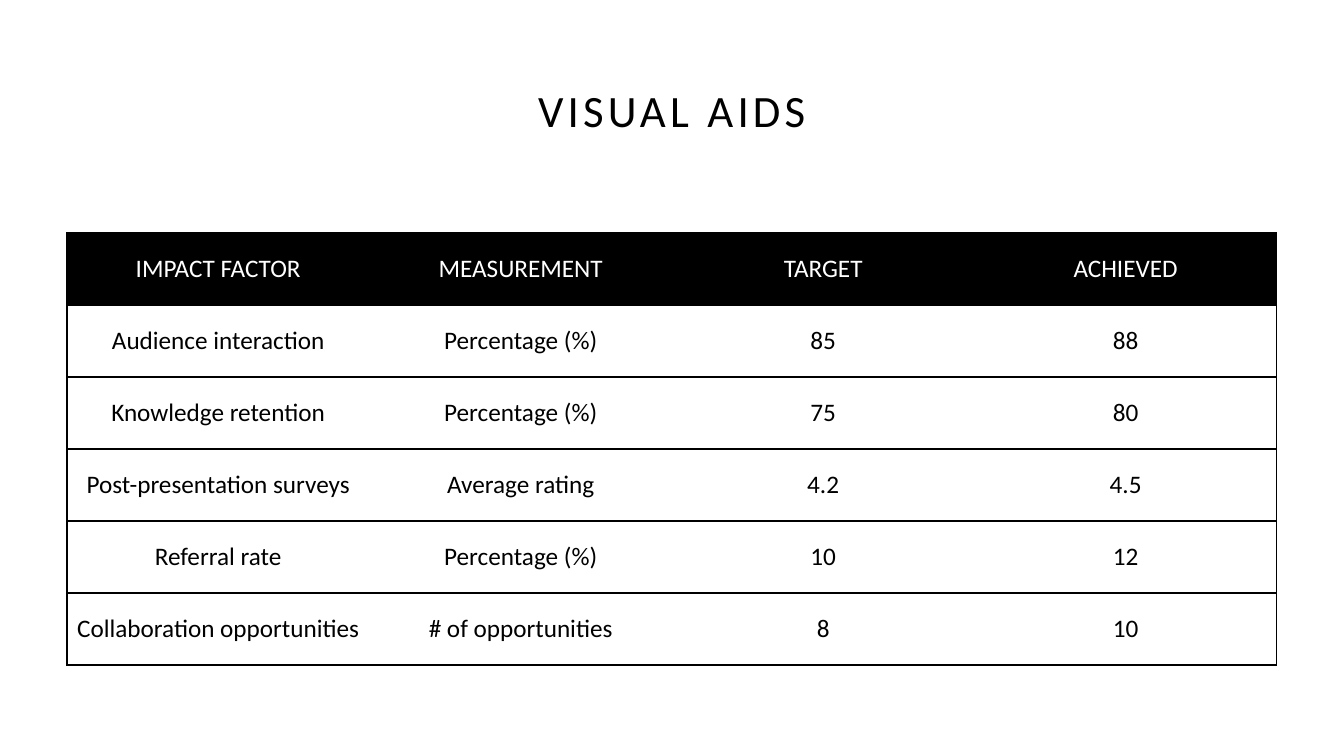
"""Build the Visual Aids slide: a centred title above an impact table."""
import pptx
import pptx.dml.color
import pptx.enum.text
import pptx.oxml
import pptx.oxml.ns
import pptx.util

TITLE = "VISUAL AIDS"
ROWS = [
    ("IMPACT FACTOR", "MEASUREMENT", "TARGET", "ACHIEVED"),
    ("Audience interaction", "Percentage (%)", "85", "88"),
    ("Knowledge retention", "Percentage (%)", "75", "80"),
    ("Post-presentation surveys", "Average rating", "4.2", "4.5"),
    ("Referral rate", "Percentage (%)", "10", "12"),
    ("Collaboration opportunities", "# of opportunities", "8", "10"),
]

BLACK = pptx.dml.color.RGBColor(0x00, 0x00, 0x00)
WHITE = pptx.dml.color.RGBColor(0xFF, 0xFF, 0xFF)
FONT = "Calibri"
MIDDLE = pptx.enum.text.MSO_ANCHOR.MIDDLE
CENTER = pptx.enum.text.PP_ALIGN.CENTER

PX_PER_INCH = 100.8
SLIDE_SIZE = (1344, 756)
TITLE_BOX = (92, 40, 1160, 146)
TABLE_BOX = (67, 233, 1210, 432)


def px(length):
    return pptx.util.Emu(round(length * pptx.util.Inches(1) / PX_PER_INCH))


def write(para, text, size, color):
    para.alignment = CENTER
    span = para.add_run()
    span.text = text
    formats = {"name": FONT, "size": pptx.util.Pt(size), "bold": False}
    for name, value in formats.items():
        setattr(span.font, name, value)
    span.font.color.rgb = color
    return span


def set_borders(cell, shown):
    properties = cell._tc.get_or_add_tcPr()
    for position, side in enumerate("LRTB"):
        paint = "<a:noFill/>"
        if side in shown:
            paint = f'<a:solidFill><a:srgbClr val="{BLACK}"/></a:solidFill>'
        line = pptx.oxml.parse_xml(
            f'<a:ln{side} {pptx.oxml.ns.nsdecls("a")} '
            f'w="{pptx.util.Pt(1)}">{paint}</a:ln{side}>'
        )
        properties.insert(position, line)


def add_title(page):
    box = page.shapes.add_textbox(*map(px, TITLE_BOX))
    frame = box.text_frame
    frame.word_wrap = True
    frame.vertical_anchor = MIDDLE
    para = frame.paragraphs[0]
    para.line_spacing = 0.9
    span = write(para, TITLE, 32, BLACK)
    span.font._element.set("spc", "300")


def add_impact_table(page):
    column_count = len(ROWS[0])
    table = page.shapes.add_table(
        len(ROWS), column_count, *map(px, TABLE_BOX)
    ).table
    for column in table.columns:
        column.width = px(TABLE_BOX[2] / column_count)
    for row in table.rows:
        row.height = px(TABLE_BOX[3] / len(ROWS))
    for row_index, texts in enumerate(ROWS):
        header = row_index == 0
        for column_index, text in enumerate(texts):
            cell = table.cell(row_index, column_index)
            cell.vertical_anchor = MIDDLE
            if header:
                cell.fill.solid()
                cell.fill.fore_color.rgb = BLACK
            else:
                cell.fill.background()
            write(cell.text_frame.paragraphs[0], text, 18,
                  WHITE if header else BLACK)
            shown = "TB"
            if column_index == 0:
                shown += "L"
            if column_index == column_count - 1:
                shown += "R"
            set_borders(cell, shown)


def main():
    deck = pptx.Presentation()
    deck.slide_width, deck.slide_height = map(px, SLIDE_SIZE)
    page = deck.slides.add_slide(deck.slide_layouts[6])
    add_title(page)
    add_impact_table(page)
    deck.save("out.pptx")


if __name__ == "__main__":
    main()
